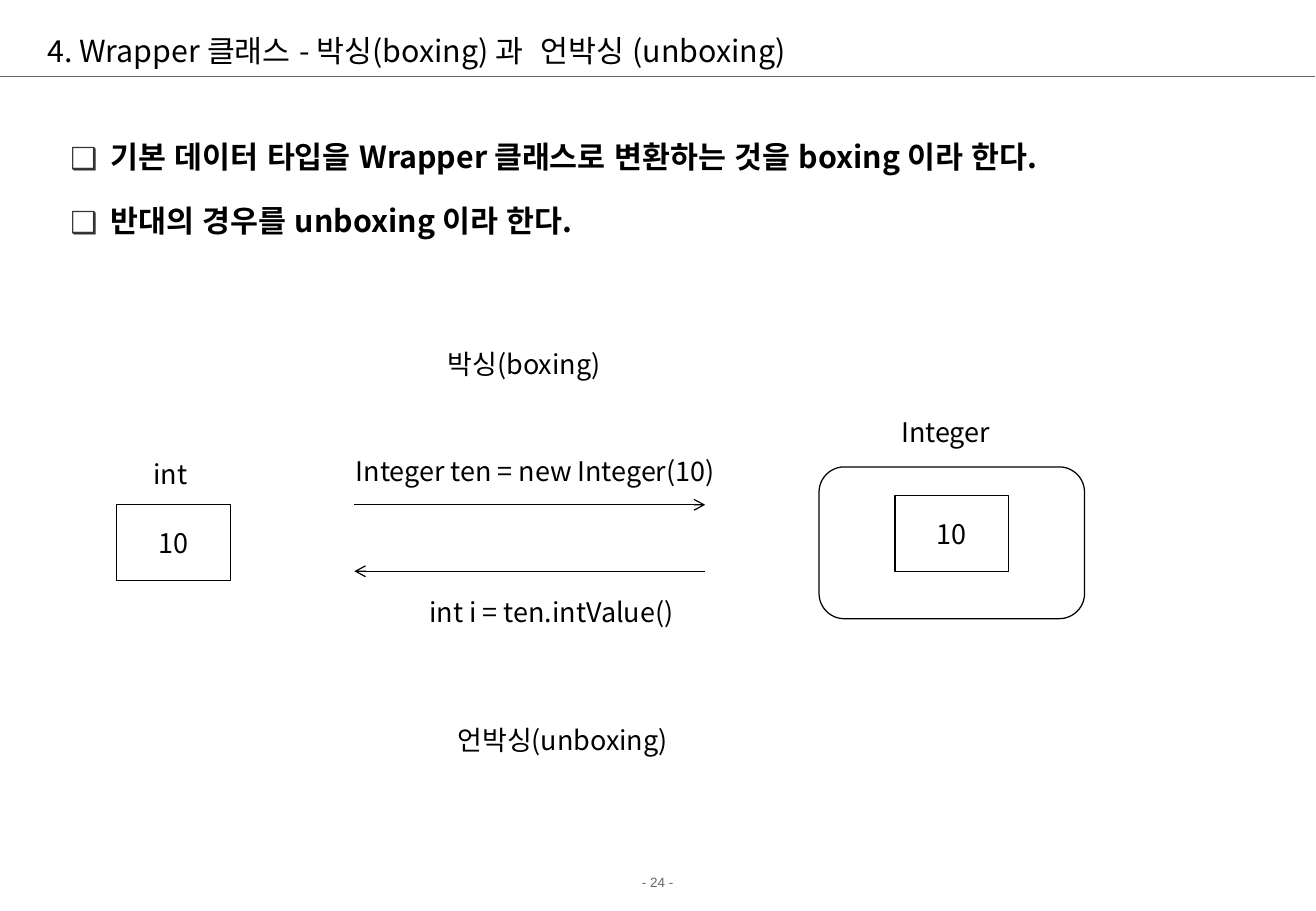
from typing import NamedTuple

from pptx import Presentation
from pptx.dml.color import RGBColor
from pptx.enum.lang import MSO_LANGUAGE_ID
from pptx.enum.shapes import MSO_CONNECTOR, MSO_SHAPE
from pptx.enum.text import MSO_ANCHOR, PP_ALIGN
from pptx.oxml.ns import qn
from pptx.util import Inches, Pt

BLACK = RGBColor(0x00, 0x00, 0x00)
GRAY = RGBColor(0x66, 0x66, 0x66)
BULLET_COLOR = RGBColor(0x33, 0x33, 0x33)
KOREAN_FONT = "Noto Sans CJK KR"

SLIDE_WIDTH, SLIDE_HEIGHT = Inches(10.84), Inches(7.5)
# The slide is 24 rows high; columns are as wide as rows are high.
CELL = SLIDE_HEIGHT // 24
SLIDE_COLUMNS = 34.67


class Area(NamedTuple):
    column: float
    row: float
    columns: float
    rows: float


class Label(NamedTuple):
    text: str
    area: Area


class Box(NamedTuple):
    kind: MSO_SHAPE
    area: Area
    value: str = ""


class Line(NamedTuple):
    start: float
    end: float
    row: float
    color: RGBColor = BLACK
    arrow: bool = True


TITLE = Label("4. Wrapper 클래스 - 박싱(boxing) 과  언박싱 (unboxing)", Area(0.93, 0.67, 32.54, 1.34))
PAGE_NUMBER = Label("- 24 -", Area(0, 22.87, SLIDE_COLUMNS, 0.77))
DEFINITIONS_AREA = Area(1.54, 3.01, 33.15, 2)
DEFINITIONS = [
    "기본 데이터 타입을 Wrapper 클래스로 변환하는 것을 boxing 이라 한다.",
    "반대의 경우를 unboxing 이라 한다.",
]
BOXES = [
    Box(MSO_SHAPE.RECTANGLE, Area(3.08, 13.3, 3, 2), "10"),
    Box(MSO_SHAPE.ROUNDED_RECTANGLE, Area(21.59, 12.3, 7, 4)),
    Box(MSO_SHAPE.RECTANGLE, Area(23.59, 13.05, 3, 2), "10"),
]
LABELS = [
    Label("int", Area(3.71, 11.89, 1.57, 1.18)),
    Label("Integer", Area(23.39, 10.8, 3.07, 1.18)),
    Label("Integer ten = new Integer(10)", Area(8.88, 11.81, 10.46, 1.18)),
    Label("int i = ten.intValue()", Area(10.86, 15.54, 7.36, 1.18)),
    Label("박싱(boxing)", Area(11.35, 8.99, 4.93, 1.18)),
    Label("언박싱(unboxing)", Area(11.58, 18.9, 6.5, 1.18)),
]
LINES = [
    Line(0, SLIDE_COLUMNS, 2.01, GRAY, arrow=False),
    Line(9.34, 18.59, 13.3),
    Line(18.59, 9.34, 15.05),
]


def cells(count: float) -> int:
    return round(count * CELL)


def place(area: Area) -> list[int]:
    return [cells(length) for length in area]


def write(paragraph, text: str, **changes) -> None:
    """Add text in the slide's usual format, with any changes to it."""
    run = paragraph.add_run()
    run.text = text
    style = {"size": Pt(16), "name": KOREAN_FONT, "bold": False,
             "language_id": MSO_LANGUAGE_ID.KOREAN} | changes
    color = style.pop("color", BLACK)
    for attribute, value in style.items():
        setattr(run.font, attribute, value)
    run.font.color.rgb = color
    east_asian = run.font._element.makeelement(qn("a:ea"), {"typeface": style["name"]})
    run.font._element.append(east_asian)


def add_label(slide, label: Label, align=PP_ALIGN.CENTER, anchor=MSO_ANCHOR.TOP,
              wrap: bool = False, **changes) -> None:
    frame = slide.shapes.add_textbox(*place(label.area)).text_frame
    frame.word_wrap = wrap
    frame.vertical_anchor = anchor
    paragraph = frame.paragraphs[0]
    paragraph.alignment = align
    write(paragraph, label.text, **changes)


def add_bullet(paragraph) -> None:
    properties = paragraph._p.get_or_add_pPr()
    properties.set("marL", str(Inches(0.33)))
    properties.set("indent", str(Inches(-0.33)))
    bullet_color = properties.makeelement(qn("a:buClr"), {})
    bullet_color.append(properties.makeelement(qn("a:srgbClr"), {"val": str(BULLET_COLOR)}))
    properties.append(bullet_color)
    properties.append(properties.makeelement(qn("a:buFont"), {"typeface": KOREAN_FONT}))
    properties.append(properties.makeelement(qn("a:buChar"), {"char": "❑"}))


def add_definitions(slide) -> None:
    frame = slide.shapes.add_textbox(*place(DEFINITIONS_AREA)).text_frame
    frame.word_wrap = True
    for index, definition in enumerate(DEFINITIONS):
        paragraph = frame.add_paragraph() if index else frame.paragraphs[0]
        add_bullet(paragraph)
        paragraph.line_spacing = 1.5
        paragraph.space_before = Pt(5.6 if index else 0)
        write(paragraph, definition, size=Pt(18), bold=True)


def add_box(slide, box: Box) -> None:
    shape = slide.shapes.add_shape(box.kind, *place(box.area))
    shape.shadow.inherit = False
    shape.fill.background()
    shape.line.color.rgb = BLACK
    shape.line.width = Pt(0.75)
    if box.value:
        frame = shape.text_frame
        for side in ("left", "top", "right", "bottom"):
            setattr(frame, f"margin_{side}", 0)
        frame.vertical_anchor = MSO_ANCHOR.MIDDLE
        frame.paragraphs[0].alignment = PP_ALIGN.CENTER
        write(frame.paragraphs[0], box.value)


def add_line(slide, line: Line) -> None:
    row = cells(line.row)
    connector = slide.shapes.add_connector(
        MSO_CONNECTOR.STRAIGHT, cells(line.start), row, cells(line.end), row)
    connector.line.color.rgb = line.color
    connector.line.width = Pt(0.75)
    properties = connector._element.spPr
    if line.arrow:
        outline = connector.line._get_or_add_ln()
        outline.append(outline.makeelement(qn("a:tailEnd"), {"type": "arrow"}))
    properties.append(properties.makeelement(qn("a:effectLst"), {}))


def main() -> None:
    presentation = Presentation()
    presentation.slide_width = SLIDE_WIDTH
    presentation.slide_height = SLIDE_HEIGHT
    slide = presentation.slides.add_slide(presentation.slide_layouts[6])

    add_label(slide, PAGE_NUMBER, wrap=True, size=Pt(8), name="Arial", color=GRAY)
    add_label(slide, TITLE, PP_ALIGN.LEFT, MSO_ANCHOR.MIDDLE, wrap=True, size=Pt(18))
    add_definitions(slide)
    for box in BOXES:
        add_box(slide, box)
    for label in LABELS:
        add_label(slide, label)
    for line in LINES:
        add_line(slide, line)

    presentation.save("out.pptx")


if __name__ == "__main__":
    main()
